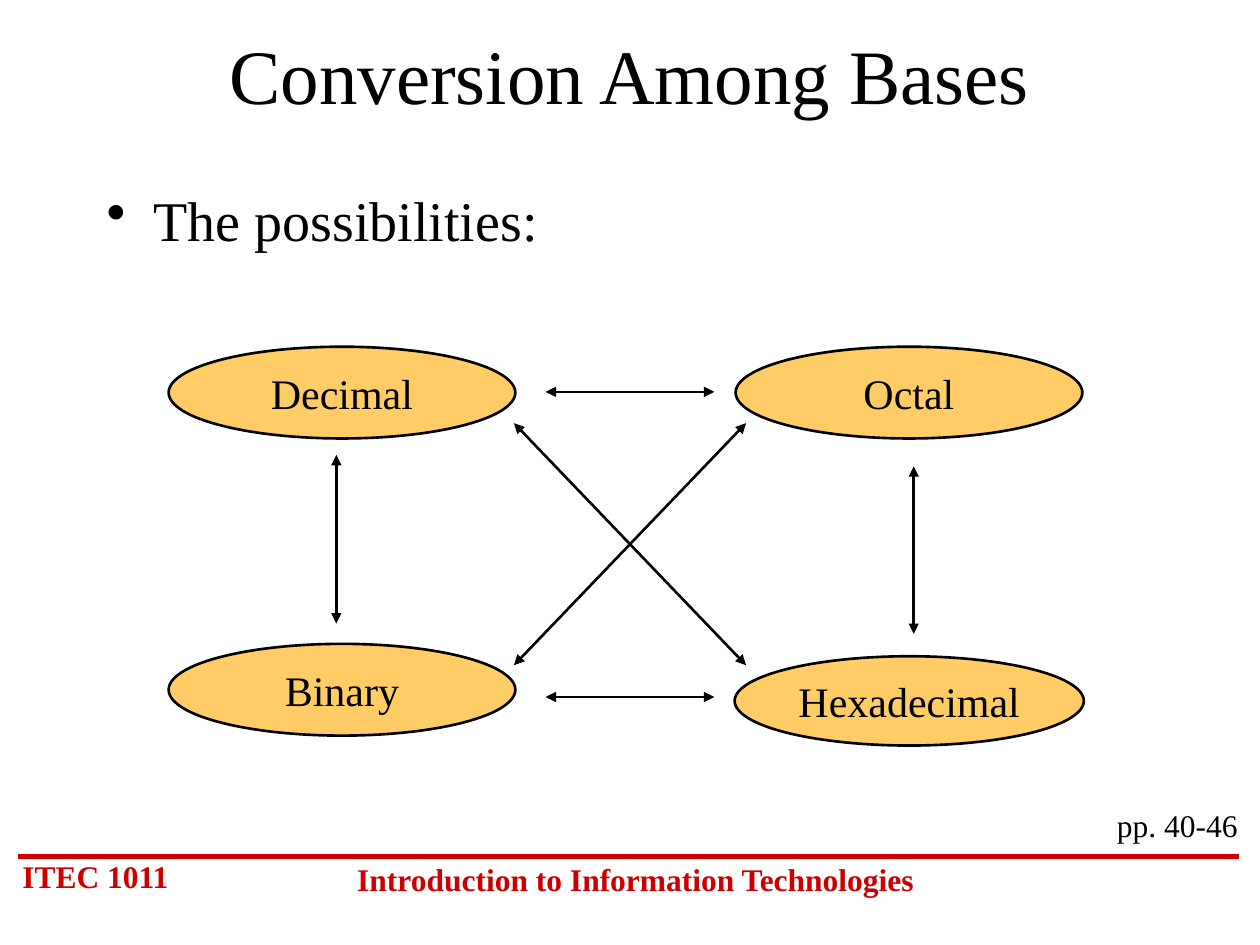
from dataclasses import dataclass

from lxml import etree
from pptx import Presentation
from pptx.dml.color import RGBColor
from pptx.enum.shapes import MSO_CONNECTOR, MSO_SHAPE
from pptx.enum.text import MSO_ANCHOR, PP_ALIGN
from pptx.oxml.ns import qn
from pptx.util import Cm, Pt

STRAIGHT = MSO_CONNECTOR.STRAIGHT
OVAL = MSO_SHAPE.OVAL
TOP, MIDDLE = MSO_ANCHOR.TOP, MSO_ANCHOR.MIDDLE
LEFT, CENTER, RIGHT = PP_ALIGN.LEFT, PP_ALIGN.CENTER, PP_ALIGN.RIGHT


@dataclass(frozen=True)
class Theme:
    font: str = "Times New Roman"
    black: RGBColor = RGBColor(0x00, 0x00, 0x00)
    red: RGBColor = RGBColor(0xCC, 0x00, 0x00)
    amber: RGBColor = RGBColor(0xFF, 0xCC, 0x66)
    title: Pt = Pt(44)
    body: Pt = Pt(32)
    node: Pt = Pt(24)
    small: Pt = Pt(18)
    outline: Pt = Pt(1.5)
    rule: Pt = Pt(3)


theme = Theme()


def write(shape, text, size, color, align, anchor=TOP, bold=False, wrap=True):
    """Put one styled paragraph in the shape and return it."""
    frame = shape.text_frame
    frame.word_wrap = wrap
    frame.vertical_anchor = anchor
    paragraph = frame.paragraphs[0]
    paragraph.text = text
    paragraph.alignment = align
    paragraph.font.name = theme.font
    paragraph.font.size = size
    paragraph.font.bold = bold
    paragraph.font.color.rgb = color
    return paragraph


def add_line(start, end, color, width):
    """Draw a shadowless line between two points given in centimetres."""
    line = slide.shapes.add_connector(STRAIGHT, *map(Cm, start + end))
    line.line.color.rgb = color
    line.line.width = width
    etree.SubElement(line._element.spPr, qn("a:effectLst"))
    return line


presentation = Presentation()
presentation.slide_width = Cm(25.4)
presentation.slide_height = Cm(19.05)
slide = presentation.slides.add_slide(presentation.slide_layouts[6])

# Footer
add_line((0.36, 17.27), (24.97, 17.27), theme.red, theme.rule)
footers = [
    ("ITEC 1011", (0.2, 17.15, 3.81, 1.02), theme.red, LEFT, True),
    ("Introduction to Information Technologies", (6.78, 17.22, 12.07, 1.02),
     theme.red, CENTER, True),
    ("pp. 40-46", (22.23, 16.13, 2.97, 1.02), theme.black, RIGHT, False),
]
for text, box, color, align, bold in footers:
    footer = slide.shapes.add_textbox(*map(Cm, box))
    write(footer, text, theme.small, color, align, bold=bold)

# Title and bullet
title = slide.shapes.add_textbox(Cm(1.9), Cm(0.43), Cm(21.59), Cm(2.11))
write(title, "Conversion Among Bases", theme.title, theme.black, CENTER, MIDDLE)

body = slide.shapes.add_textbox(Cm(1.9), Cm(3.61), Cm(21.59), Cm(11.43))
paragraph = write(body, "The possibilities:", theme.body, theme.black, LEFT)
properties = paragraph._p.get_or_add_pPr()
properties.set("marL", str(Cm(0.95)))
properties.set("indent", str(-Cm(0.95)))
bullet = etree.SubElement(properties, qn("a:buChar"))
bullet.set("char", "•")
properties.insert(0, bullet)

# Number bases
bases = [
    ("Decimal", (3.4, 6.99, 6.99, 1.85)),
    ("Octal", (14.83, 6.99, 6.99, 1.85)),
    ("Binary", (3.4, 12.98, 6.99, 1.85)),
    ("Hexadecimal", (14.81, 13.23, 7.04, 1.8)),
]
for name, box in bases:
    base = slide.shapes.add_shape(OVAL, *map(Cm, box))
    base.shadow.inherit = False
    base.fill.solid()
    base.fill.fore_color.rgb = theme.amber
    base.line.color.rgb = theme.black
    base.line.width = theme.outline
    write(base, name, theme.node, theme.black, CENTER, MIDDLE, wrap=False)

# Conversions in both directions
conversions = [
    ((10.36, 13.41), (15.04, 8.53)),
    ((15.04, 13.41), (10.36, 8.53)),
    ((18.42, 12.78), (18.42, 9.4)),
    ((6.78, 12.57), (6.78, 9.17)),
    ((11, 7.9), (14.4, 7.9)),
    ((11, 14.05), (14.4, 14.05)),
]
for start, end in conversions:
    arrow = add_line(start, end, theme.black, theme.outline)
    outline = arrow.line._get_or_add_ln()
    for tag in ("a:headEnd", "a:tailEnd"):
        etree.SubElement(outline, qn(tag)).set("type", "triangle")

presentation.save("out.pptx")
